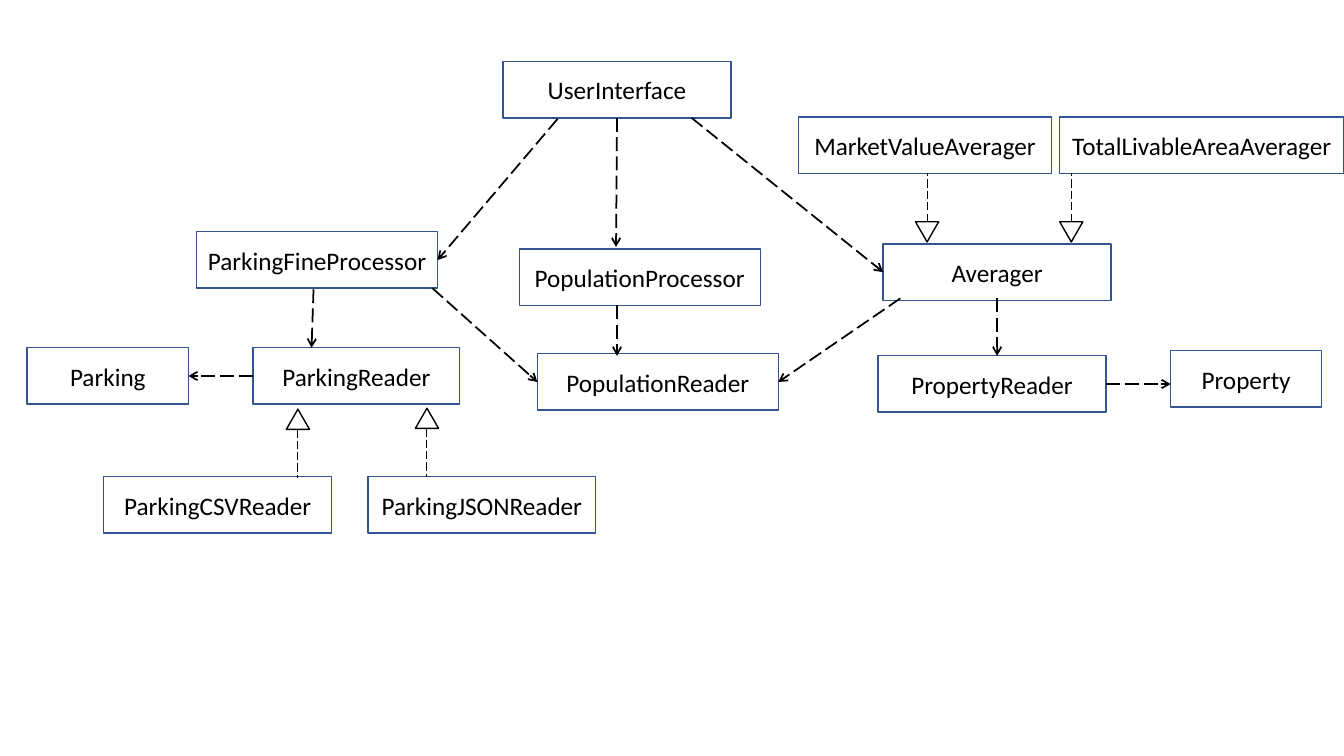
from lxml.etree import SubElement
from pptx import Presentation
from pptx.dml.color import RGBColor
from pptx.enum.dml import MSO_LINE
from pptx.enum.shapes import MSO_CONNECTOR, MSO_SHAPE
from pptx.enum.text import MSO_ANCHOR, PP_ALIGN
from pptx.oxml.ns import qn
from pptx.util import Inches, Pt


def set_outline(shape, color, width):
    shape.line.color.rgb = RGBColor.from_string(color)
    shape.line.width = Pt(width)


def add_dashed_line(shapes, start, end, width):
    points = [Inches(value) for value in (*start, *end)]
    connector = shapes.add_connector(MSO_CONNECTOR.STRAIGHT, *points)
    set_outline(connector, "000000", width)
    connector.line.dash_style = MSO_LINE.LONG_DASH
    SubElement(connector._element.spPr, qn("a:effectLst"))
    return connector


presentation = Presentation()
presentation.slide_width = Inches(13.33)
presentation.slide_height = Inches(7.5)
slide = presentation.slides.add_slide(presentation.slide_layouts[6])

box_height = 0.56
classes = [
    ("UserInterface", 4.99, 0.61, 2.26),
    ("MarketValueAverager", 7.92, 1.16, 2.51),
    ("TotalLivableAreaAverager", 10.51, 1.16, 2.82),
    ("ParkingFineProcessor", 1.95, 2.3, 2.39),
    ("PopulationProcessor", 5.15, 2.47, 2.39),
    ("Averager", 8.76, 2.42, 2.26),
    ("Parking", 0.27, 3.45, 1.6),
    ("ParkingReader", 2.51, 3.45, 2.05),
    ("PopulationReader", 5.33, 3.51, 2.39),
    ("PropertyReader", 8.71, 3.53, 2.26),
    ("Property", 11.61, 3.48, 1.5),
    ("ParkingCSVReader", 1.03, 4.73, 2.26),
    ("ParkingJSONReader", 3.65, 4.73, 2.26),
]
for name, left, top, width in classes:
    box = slide.shapes.add_shape(
        MSO_SHAPE.RECTANGLE, Inches(left), Inches(top), Inches(width), Inches(box_height)
    )
    box.shadow.inherit = False
    box.fill.background()
    set_outline(box, "325491", 1)
    box.text_frame.word_wrap = False
    box.text_frame.vertical_anchor = MSO_ANCHOR.MIDDLE
    paragraph = box.text_frame.paragraphs[0]
    paragraph.alignment = PP_ALIGN.CENTER
    run = paragraph.add_run()
    run.text = name
    run.font.name = "Calibri"
    run.font.size = Pt(18)
    run.font.color.rgb = RGBColor.from_string("000000")

triangle_width, triangle_height, stem_length = 0.23, 0.2, 0.48
inheritances = [
    (2.84, 4.06, False),
    (4.12, 4.05, False),
    (9.08, 2.2, True),
    (10.51, 2.2, True),
]
for left, top, points_down in inheritances:
    group = slide.shapes.add_group_shape()
    triangle = group.shapes.add_shape(
        MSO_SHAPE.ISOSCELES_TRIANGLE,
        Inches(left), Inches(top), Inches(triangle_width), Inches(triangle_height),
    )
    triangle.shadow.inherit = False
    triangle.fill.background()
    set_outline(triangle, "000000", 1)
    triangle.rotation = 180 if points_down else 0
    center = left + triangle_width / 2
    base = top if points_down else top + triangle_height
    stem_end = base - stem_length if points_down else base + stem_length
    add_dashed_line(group.shapes, (center, base), (center, stem_end), 0.75)

dependencies = [
    ((5.53, 1.18), (4.34, 2.58)),
    ((6.12, 1.17), (6.11, 2.45)),
    ((6.86, 1.17), (8.76, 2.7)),
    ((3.11, 2.87), (3.09, 3.45)),
    ((4.29, 2.86), (5.33, 3.79)),
    ((6.12, 3.03), (6.12, 3.53)),
    ((8.93, 2.96), (7.72, 3.79)),
    ((9.89, 2.96), (9.89, 3.53)),
    ((2.51, 3.73), (1.87, 3.73)),
    ((10.97, 3.81), (11.61, 3.81)),
]
for start, end in dependencies:
    arrow = add_dashed_line(slide.shapes, start, end, 1.25)
    SubElement(arrow.line._get_or_add_ln(), qn("a:tailEnd"), type="arrow")

presentation.save("out.pptx")
